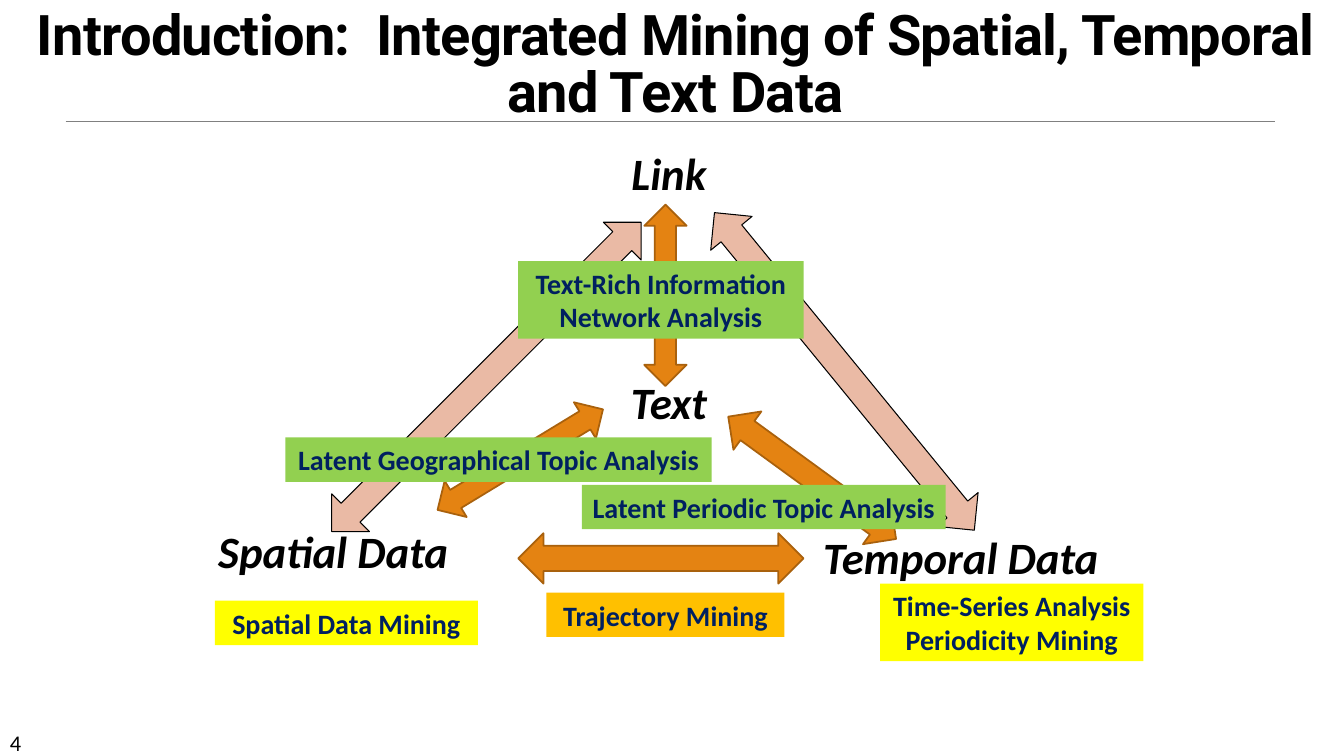
"""Build the slide on integrated mining of spatial, temporal and text data."""
from dataclasses import dataclass

from pptx import Presentation
from pptx.dml.color import RGBColor
from pptx.enum.shapes import MSO_CONNECTOR, MSO_SHAPE
from pptx.enum.text import MSO_ANCHOR, MSO_AUTO_SIZE, PP_ALIGN
from pptx.oxml.ns import qn
from pptx.util import Inches, Pt


@dataclass(frozen=True)
class Theme:
    title_font: str = "Roboto"
    body_font: str = "Calibri"
    title_size: int = 40
    node_size: int = 32
    label_size: int = 20
    number_size: int = 16
    ink: str = "000000"
    navy: str = "002060"
    rule: str = "808080"
    pale: str = "EABAA5"
    orange: str = "E48312"
    brown: str = "A9610D"
    green: str = "92D050"
    amber: str = "FFC000"
    yellow: str = "FFFF00"


class SlideBuilder:
    def __init__(self, prs, theme):
        self.theme = theme
        self.slide = prs.slides.add_slide(prs.slide_layouts[5])

    def _box(self, at):
        return [Inches(v) for v in at]

    def _run(self, p, text, size, color, font=None, bold=True, italic=False):
        r = p.add_run()
        r.text = text
        r.font.name = font or self.theme.body_font
        r.font.size = Pt(size)
        r.font.bold = bold
        r.font.italic = italic
        r.font.color.rgb = RGBColor.from_string(color)
        return r

    def title(self, text, at):
        t = self.theme
        sp = self.slide.shapes.title
        sp.left, sp.top, sp.width, sp.height = self._box(at)
        tf = sp.text_frame
        tf.word_wrap = True
        tf.auto_size = MSO_AUTO_SIZE.NONE
        tf.vertical_anchor = MSO_ANCHOR.BOTTOM
        p = tf.paragraphs[0]
        p.alignment = PP_ALIGN.CENTER
        p.line_spacing = 0.85
        p.space_before = Pt(0)
        p.space_after = Pt(6)
        r = self._run(p, text, t.title_size, t.ink, t.title_font)
        r.font._element.set("spc", "-50")

    def rule(self, x1, x2, y):
        line = self.slide.shapes.add_connector(
            MSO_CONNECTOR.STRAIGHT, Inches(x1), Inches(y), Inches(x2), Inches(y))
        line.line.color.rgb = RGBColor.from_string(self.theme.rule)
        line.line.width = Pt(0.5)
        sp_pr = line._element.spPr
        sp_pr.append(sp_pr.makeelement(qn("a:effectLst"), {}))

    def number(self, text, at):
        tf = self.slide.shapes.add_textbox(*self._box(at)).text_frame
        tf.word_wrap = True
        self._run(tf.paragraphs[0], text, self.theme.number_size,
                  self.theme.ink, bold=False)

    def node(self, text, at, wrap=True):
        tf = self.slide.shapes.add_textbox(*self._box(at)).text_frame
        tf.word_wrap = wrap
        tf.auto_size = MSO_AUTO_SIZE.SHAPE_TO_FIT_TEXT
        p = tf.paragraphs[0]
        p.alignment = PP_ALIGN.CENTER
        self._run(p, text, self.theme.node_size, self.theme.ink, italic=True)

    def arrow(self, at, fill, line, width, rotation=0, kind=MSO_SHAPE.UP_DOWN_ARROW):
        sp = self.slide.shapes.add_shape(kind, *self._box(at))
        sp.shadow.inherit = False
        sp.rotation = rotation
        sp.fill.solid()
        sp.fill.fore_color.rgb = RGBColor.from_string(fill)
        sp.line.color.rgb = RGBColor.from_string(line)
        sp.line.width = Pt(width)

    def label(self, lines, at, fill):
        sp = self.slide.shapes.add_shape(MSO_SHAPE.RECTANGLE, *self._box(at))
        sp.shadow.inherit = False
        sp.fill.solid()
        sp.fill.fore_color.rgb = RGBColor.from_string(fill)
        sp.line.fill.background()
        tf = sp.text_frame
        tf.word_wrap = True
        tf.auto_size = MSO_AUTO_SIZE.SHAPE_TO_FIT_TEXT
        for i, text in enumerate(lines):
            p = tf.add_paragraph() if i else tf.paragraphs[0]
            p.alignment = PP_ALIGN.CENTER
            self._run(p, text, self.theme.label_size, self.theme.navy)


def main():
    prs = Presentation()
    prs.slide_width, prs.slide_height = Inches(13.33), Inches(7.5)
    t = Theme()
    s = SlideBuilder(prs, t)

    s.rule(0.65, 12.65, 1.2)
    s.number("4", (0, 7.18, 1.17, 0.3))
    s.title("Introduction:  Integrated Mining of Spatial, Temporal and Text Data",
            (0.07, 0.08, 13.26, 1.2))

    for at, rotation in (((4.56, 1.57, 0.53, 4.34), 45),
                         ((8.11, 1.65, 0.53, 4.07), 320.7)):
        s.arrow(at, t.pale, t.ink, 0.75, rotation)

    s.node("Link", (5.97, 1.4, 1.33, 0.64))
    s.node("Text", (5.97, 3.67, 1.33, 0.64))
    s.node("Spatial Data", (1.72, 5.15, 3.17, 0.64))
    s.node("Temporal Data", (8.05, 5.21, 2.96, 0.64), wrap=False)

    for at, rotation, kind in (
            ((6.39, 2.03, 0.42, 1.8), 0, MSO_SHAPE.UP_DOWN_ARROW),
            ((5.14, 5.29, 2.83, 0.5), 0, MSO_SHAPE.LEFT_RIGHT_ARROW),
            ((4.95, 3.6, 0.42, 1.92), 58.7, MSO_SHAPE.UP_DOWN_ARROW),
            ((7.82, 3.71, 0.47, 2.06), 126.1, MSO_SHAPE.UP_DOWN_ARROW)):
        s.arrow(at, t.orange, t.brown, 1.25, rotation, kind)

    for lines, at, fill in (
            (["Text-Rich Information Network Analysis"], (5.14, 2.59, 2.83, 0.77), t.green),
            (["Latent Geographical Topic Analysis"], (2.83, 4.34, 4.23, 0.44), t.green),
            (["Latent Periodic Topic Analysis"], (5.77, 4.81, 3.61, 0.44), t.green),
            (["Trajectory Mining"], (5.42, 5.88, 2.36, 0.44), t.amber),
            (["Spatial Data Mining"], (2.13, 5.96, 2.61, 0.44), t.yellow),
            (["Time-Series Analysis", "Periodicity Mining"],
             (8.73, 5.79, 2.61, 0.77), t.yellow)):
        s.label(lines, at, fill)

    prs.save("out.pptx")


if __name__ == "__main__":
    main()
